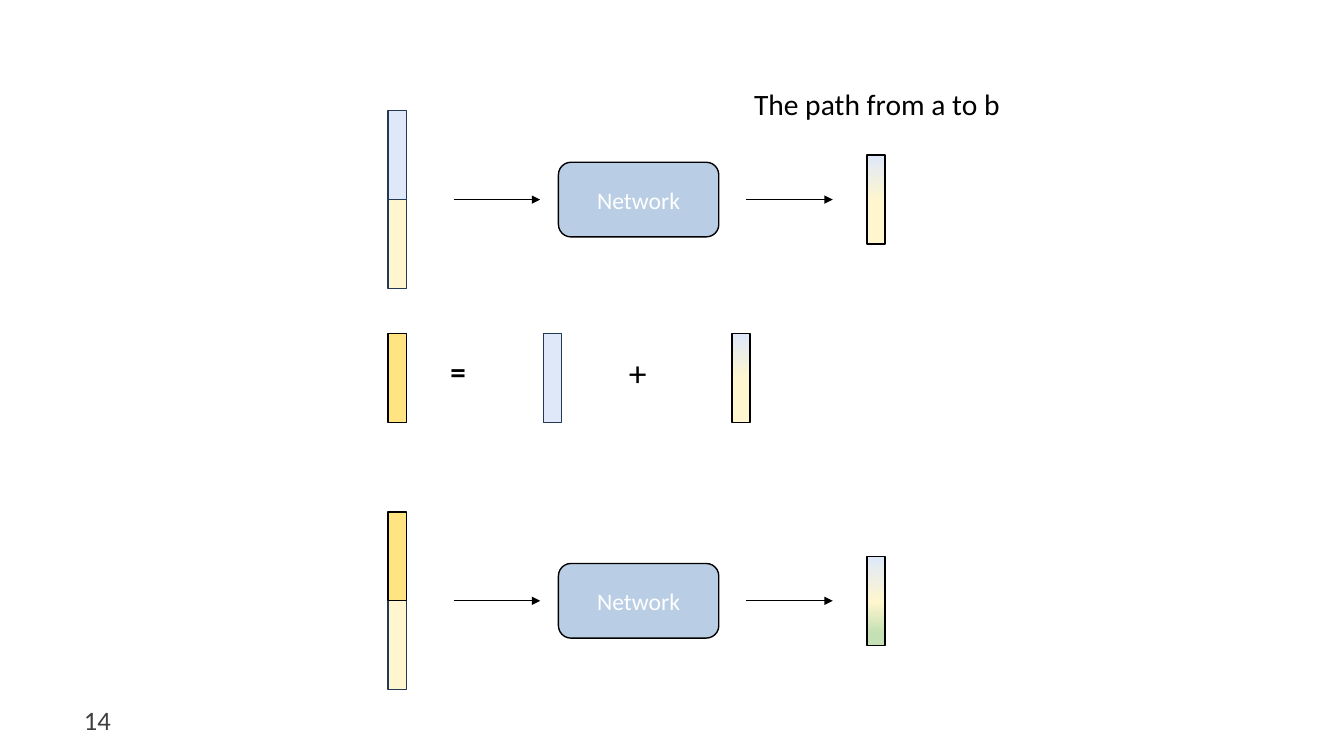
"""Build the slide on combining two path embeddings through a network."""
from dataclasses import dataclass

from lxml import etree
from pptx import Presentation
from pptx import util as u
from pptx.dml.color import RGBColor
from pptx.enum import shapes, text
from pptx.oxml import ns


@dataclass(frozen=True)
class Theme:
    """Colours and type sizes of the slide."""
    font: str = "Calibri"
    start: str = "DEE8F9"
    goal: str = "FFF6CF"
    joined: str = "FFE481"
    extended: str = "C5E0B4"
    network: str = "B9CDE5"
    navy: str = "233953"
    black: str = "000000"
    white: str = "FFFFFF"
    grey: str = "3F3F3F"
    page_size: float = 19
    network_size: float = 16.9
    plus_size: float = 25.4
    equals_size: float = 22.2
    caption_size: float = 21.1


def apply(target, values):
    """Set each named format value on the target."""
    for name, value in values.items():
        setattr(target, name, value)


class Diagram:
    """Draws styled elements, in centimetres, on one slide."""
    bar_width, bar_height, input_left = 0.46, 2.24, 9.78

    def __init__(self, slide, theme):
        """Keep the slide and its theme."""
        self.slide, self.theme = slide, theme

    def add_words(self, frame, words, size, color, align, margins=None, bold=False):
        """Put one formatted line of text in a frame."""
        apply(frame, {"word_wrap": True, **(margins or {})})
        line = frame.paragraphs[0]
        line.alignment = align
        run = line.add_run()
        run.text = words
        apply(run.font, {"name": self.theme.font, "size": u.Pt(size), "bold": bold})
        run.font.color.rgb = RGBColor.from_string(color)

    def label(self, box, words, size, color=Theme.black,
              align=text.PP_ALIGN.CENTER, **style):
        """Add a text box."""
        frame = self.slide.shapes.add_textbox(*map(u.Cm, box)).text_frame
        self.add_words(frame, words, size, color, align, **style)

    def block(self, kind, box, fill, edge, parent=None):
        """Add a preset shape with a plain or graded fill."""
        owner = parent or self.slide
        block = owner.shapes.add_shape(kind, *map(u.Cm, box))
        block.shadow.inherit = False
        block.line.color.rgb = RGBColor.from_string(edge)
        block.line.width = u.Pt(1)
        if isinstance(fill, str):
            block.fill.solid()
            block.fill.fore_color.rgb = RGBColor.from_string(fill)
        else:
            self.grade(block, fill)
        return block

    def grade(self, block, colors):
        """Fill a block from top to bottom with (percent, colour) stops."""
        block.fill.gradient()
        block.fill.gradient_angle = 270
        stops = next(block.element.iter(ns.qn("a:gsLst")))
        for stop in list(stops):
            stops.remove(stop)
        for percent, color in colors:
            stop = etree.SubElement(stops, ns.qn("a:gs"), pos=str(percent * 1000))
            etree.SubElement(stop, ns.qn("a:srgbClr"), val=color)

    def bar(self, left, top, fill, edge=Theme.black, parent=None):
        """Add one embedding bar."""
        box = left, top, self.bar_width, self.bar_height
        self.block(shapes.MSO_SHAPE.RECTANGLE, box, fill, edge, parent)

    def stack(self, left, bars):
        """Group bars given as (top, fill, edge)."""
        group = self.slide.shapes.add_group_shape()
        for top, fill, edge in bars:
            self.bar(left, top, fill, edge, group)

    def network(self, axis):
        """Add the network box centred on an axis."""
        box = 14.07, axis - 0.94, 4.04, 1.88
        network = self.block(shapes.MSO_SHAPE.ROUNDED_RECTANGLE, box,
                             self.theme.network, self.theme.black)
        self.add_words(network.text_frame, "Network", self.theme.network_size,
                       self.theme.white, text.PP_ALIGN.CENTER,
                       {"vertical_anchor": text.MSO_ANCHOR.MIDDLE})

    def arrow(self, left, axis, length=2.18):
        """Add an arrow pointing right."""
        ends = map(u.Cm, (left, axis, left + length, axis))
        arrow = self.slide.shapes.add_connector(shapes.MSO_CONNECTOR.STRAIGHT, *ends)
        arrow.line.color.rgb = RGBColor.from_string(self.theme.black)
        arrow.line.width = u.Pt(0.75)
        outline = next(arrow.element.iter(ns.qn("a:ln")))
        etree.SubElement(outline, ns.qn("a:tailEnd"), type="triangle")
        etree.SubElement(arrow.element.spPr, ns.qn("a:effectLst"))

    def inference(self, axis, inputs, output):
        """Add a row from stacked inputs through the network to an output."""
        self.stack(self.input_left, inputs)
        self.bar(21.84, axis - self.bar_height / 2, output)
        self.network(axis)
        for left in (11.43, 18.8):
            self.arrow(left, axis)


def main():
    """Build and save the slide."""
    deck = Presentation()
    apply(deck, {"slide_width": u.Cm(33.86), "slide_height": u.Cm(19.05)})
    theme = Theme()
    diagram = Diagram(deck.slides.add_slide(deck.slide_layouts[6]), theme)

    route = [(0, theme.start), (51, theme.goal)]
    longer_route = route + [(86, theme.extended)]
    first_axis, sum_top, second_axis = 5.03, 8.41, 15.14

    flush = dict.fromkeys(
        ("margin_left", "margin_right", "margin_top", "margin_bottom"), 0)
    diagram.label((0, 17.73, 2.79, 0.81), "14", theme.page_size, theme.grey,
                  text.PP_ALIGN.RIGHT, margins=flush)

    diagram.inference(first_axis, [
        (first_axis - diagram.bar_height, theme.start, theme.navy),
        (first_axis, theme.goal, theme.navy)], route)
    diagram.label((16.94, 2.03, 10.31, 1.17), "The path from a to b",
                  theme.caption_size)

    diagram.bar(diagram.input_left, sum_top, theme.joined)
    diagram.label((11.1, 8.76, 1.78, 1.19), "=", theme.equals_size,
                  align=text.PP_ALIGN.LEFT, bold=True)
    diagram.bar(13.69, sum_top, theme.start, theme.navy)
    diagram.label((14.71, 8.71, 2.72, 1.35), "+", theme.plus_size)
    diagram.bar(18.44, sum_top, route)

    diagram.inference(second_axis, [
        (second_axis, theme.goal, theme.navy),
        (second_axis - diagram.bar_height, theme.joined, theme.black)], longer_route)

    deck.save("out.pptx")


if __name__ == "__main__":
    main()
